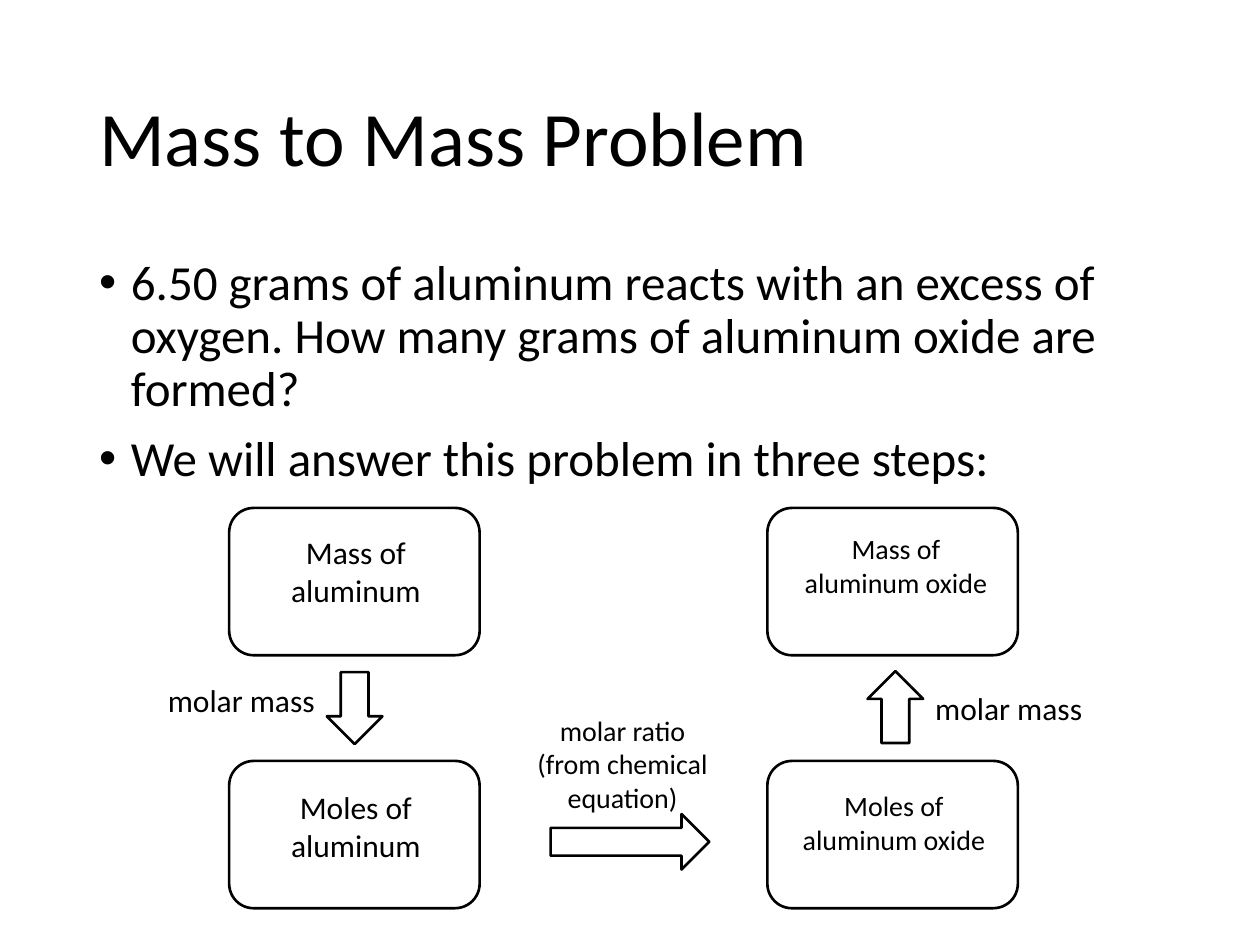
from lxml.etree import SubElement
from pptx import Presentation
from pptx.dml.color import RGBColor
from pptx.enum.shapes import MSO_SHAPE
from pptx.enum.text import MSO_ANCHOR, PP_ALIGN
from pptx.oxml.ns import qn
from pptx.util import Cm, Pt

BLACK, WHITE = "000000", "FFFFFF"
LEFT_COL, RIGHT_COL = 4.62, 15.47
MASS_ROW, MOLES_ROW = 10.24, 15.34


def color(value):
    return RGBColor.from_string(value)


def add_bullet(p, indent):
    pPr = p._p.get_or_add_pPr()
    pPr.set("marL", str(indent))
    pPr.set("indent", str(-indent))
    SubElement(pPr, qn("a:buFont")).set("typeface", "Arial")
    SubElement(pPr, qn("a:buChar")).set("char", "•")


def add_text(s, text, x, y, w, h, size=18, align=PP_ALIGN.CENTER,
             anchor=MSO_ANCHOR.TOP, spacing=None, before=0, bullet=False):
    """Add a text box with one paragraph for each line of text."""
    tf = s.shapes.add_textbox(Cm(x), Cm(y), Cm(w), Cm(h)).text_frame
    tf.word_wrap = True
    tf.vertical_anchor = anchor
    for i, line in enumerate(text.split("\n")):
        p = tf.add_paragraph() if i else tf.paragraphs[0]
        p.alignment = align
        p.space_before = Pt(before)
        if spacing:
            p.line_spacing = spacing
        if bullet:
            add_bullet(p, Cm(0.64))
        r = p.add_run()
        r.text = line
        r.font.name = "Calibri"
        r.font.size = Pt(size)
        r.font.color.rgb = color(BLACK)


def add_outlined(s, kind, x, y, w, h):
    sp = s.shapes.add_shape(kind, Cm(x), Cm(y), Cm(w), Cm(h))
    sp.shadow.inherit = False
    sp.fill.solid()
    sp.fill.fore_color.rgb = color(WHITE)
    sp.line.color.rgb = color(BLACK)
    sp.line.width = Pt(1.5)


def add_diagram(s):
    for x in (LEFT_COL, RIGHT_COL):
        for y in (MASS_ROW, MOLES_ROW):
            add_outlined(s, MSO_SHAPE.ROUNDED_RECTANGLE, x, y, 5.05, 2.97)

    add_outlined(s, MSO_SHAPE.DOWN_ARROW, 6.59, 13.55, 1.12, 1.45)
    add_outlined(s, MSO_SHAPE.RIGHT_ARROW, 11.1, 16.41, 3.2, 1.12)
    add_outlined(s, MSO_SHAPE.UP_ARROW, 17.49, 13.53, 1.12, 1.45)

    add_text(s, "Mass of aluminum", 5.08, 10.62, 4.19, 1.8)
    add_text(s, "Moles of aluminum", 5.08, 15.77, 4.19, 1.8)
    add_text(s, "Moles of aluminum oxide", 15.72, 15.77, 4.6, 1.63, size=16)
    add_text(s, "Mass of aluminum oxide", 15.8, 10.59, 4.52, 1.63, size=16)
    add_text(s, "molar mass", 2.77, 13.61, 4.19, 1.02)
    add_text(s, "molar mass", 18.24, 13.77, 4.19, 1.02)
    add_text(s, "molar ratio\n(from chemical equation)",
             10.11, 14.25, 4.88, 2.31, size=16)


def main():
    prs = Presentation()
    prs.slide_width, prs.slide_height = Cm(25.4), Cm(19.05)
    s = prs.slides.add_slide(prs.slide_layouts[6])

    add_text(s, "Mass to Mass Problem", 1.75, 1.02, 21.9, 3.68, size=44,
             align=PP_ALIGN.LEFT, anchor=MSO_ANCHOR.MIDDLE, spacing=0.9)
    add_text(s, "6.50 grams of aluminum reacts with an excess of oxygen. "
             "How many grams of aluminum oxide are formed?\n"
             "We will answer this problem in three steps:",
             1.75, 5.08, 21.9, 12.09, size=28, align=PP_ALIGN.LEFT,
             spacing=0.9, before=10, bullet=True)
    add_diagram(s)
    prs.save("out.pptx")


if __name__ == "__main__":
    main()
